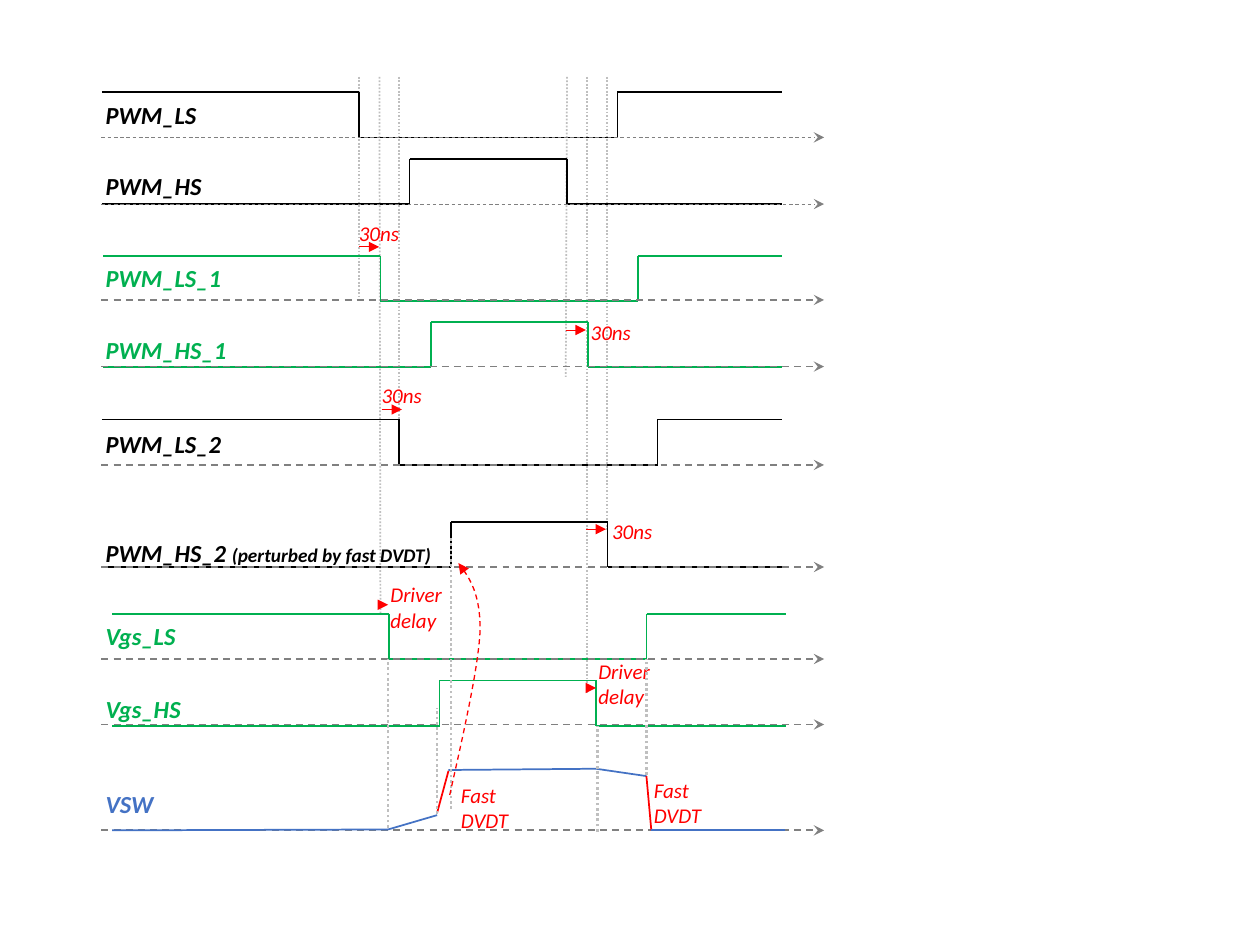
from lxml import etree
from pptx import Presentation
from pptx.dml.color import RGBColor
from pptx.enum.dml import MSO_LINE
from pptx.enum.shapes import MSO_CONNECTOR
from pptx.enum.text import MSO_AUTO_SIZE
from pptx.oxml.ns import qn
from pptx.util import Pt

STRAIGHT = MSO_CONNECTOR.STRAIGHT
DASH, DOT = MSO_LINE.DASH, MSO_LINE.ROUND_DOT
FIT = MSO_AUTO_SIZE.SHAPE_TO_FIT_TEXT
BLACK, GREEN, BLUE, RED = "000000", "00B050", "4472C4", "FF0000"
AXIS, GUIDE = "808080", "BFBFBF"
LEFT, TOP = 58, 44      # corner of the timing diagram
PULSE = 26              # height of a logic pulse
LABEL = dict(size=Pt(14), bold=True, italic=True)
NOTE = dict(size=Pt(12), italic=True)


def rgb(value):
    return RGBColor.from_string(value)


def style_line(sp, color, width, dash=None, head=None):
    sp.line.color.rgb = rgb(color)
    sp.line.width = Pt(width)
    if dash:
        sp.line.dash_style = dash
    if head:
        etree.SubElement(sp.line._get_or_add_ln(), qn("a:tailEnd"), type=head)


def add_line(s, x1, y1, x2, y2, color, width=1, dash=None, head=None):
    c = s.shapes.add_connector(STRAIGHT, Pt(x1), Pt(y1), Pt(x2), Pt(y2))
    style_line(c, color, width, dash, head)
    etree.SubElement(c._element.spPr, qn("a:effectLst"))


def add_trace(s, x, y, points, color):
    for (x1, y1), (x2, y2) in zip(points, points[1:]):
        add_line(s, x + x1, y + y1, x + x2, y + y2, color)


def add_text(s, x, y, w, h, lines, color, style):
    """Each line is a list of (text, format overrides) runs."""
    sp = s.shapes.add_textbox(Pt(x), Pt(y), Pt(w), Pt(h))
    tf = sp.text_frame
    tf.word_wrap = False
    tf.auto_size = FIT
    for i, runs in enumerate(lines):
        p = tf.add_paragraph() if i else tf.paragraphs[0]
        for text, extra in runs:
            r = p.add_run()
            r.text = text
            r.font.name = "Calibri"
            r.font.color.rgb = rgb(color)
            for key, value in {**style, **extra}.items():
                setattr(r.font, key, value)


def add_note(s, x, y, w, *lines):
    add_text(s, x, y, w, 7.2 + 14.4 * len(lines), [[(t, {})] for t in lines], RED, NOTE)


def pulse_row(s, x, y, runs, color, start, rise, fall, end, label_dy, label_w, high_first):
    """One logic signal with its label; y is the high level."""
    outer, inner = (0, PULSE) if high_first else (PULSE, 0)
    points = [(start, outer), (rise, outer), (rise, inner),
              (fall, inner), (fall, outer), (end, outer)]
    add_trace(s, x, y, points, color)
    add_text(s, x - 4.7, y + label_dy, label_w, 24.5, [runs], color, LABEL)


def guides(s, x, y):
    for x1, x2, bottom in [(147.2, 147.2, 128), (158.8, 159.4, 307.4), (170.2, 170.2, 221.7),
                           (266, 265.3, 171.3), (277.5, 277.5, 352.7), (289, 289, 259.1)]:
        add_line(s, x + x1, y, x + x2, y + bottom, GUIDE, 1, DOT)


def switch_guides(s, x, y):
    for gx, bottom, top in [(163.8, 429, 332.6), (191.8, 421.1, 360.6), (283.3, 431.2, 370.7),
                            (311.4, 398.8, 332.6), (199.8, 418.2, 262.7)]:
        add_line(s, x + gx, y + bottom, x + gx, y + top, GUIDE, 1.5, DOT)


def axes(s, x, y):
    for ay, width in [(34.5, 0.5), (72.6, 0.5), (127.4, 1), (165.5, 1), (221.7, 1),
                      (280, 1), (332.6, 1), (370, 1), (430.5, 1)]:
        add_line(s, x, y + ay, x + 412.9, y + ay, AXIS, width, DASH, "stealth")


def delay_note(s, x, y, length, dx, dy, w, *lines):
    add_line(s, x, y, x + length, y, RED, 0.5, head="triangle")
    add_note(s, x + dx, y + dy, w, *lines)


def vsw_row(s, x, y):
    """Switch node voltage; y is its base line."""
    for color, points in [
            (BLUE, [(6.1, 0), (163.8, -0.5), (191.8, -8.7)]),
            (RED, [(191.8, -10.1), (198.3, -34)]),
            (BLUE, [(198.3, -34.5), (282.6, -35.2), (311.4, -31)]),
            (RED, [(311.4, -31), (314.2, 0)]),
            (BLUE, [(314.2, 0), (390.6, 0)])]:
        add_trace(s, x, y, points, color)
    add_text(s, x - 4.7, y - 27.4, 41.8, 24.5, [[("VSW", {})]], BLUE, LABEL)
    for nx, ny in [(308.5, -33.9), (198.3, -31)]:
        add_note(s, x + nx, y + ny, 41.8, "Fast", "DVDT")


def feedback_arrow(s, x, y):
    """Curve from the fast edge up to PWM_HS_2, sampled from two Bezier pieces."""
    curves = [[(0, 132.5), (7.9, 97.2), (15.8, 62.6), (17.3, 40.3)],
              [(17.3, 40.3), (18, 18), (11.5, 8.6), (5, 0)]]
    points = []
    for curve in curves:
        for i in range(13):
            t = i / 12
            weights = [(1 - t) ** 3, 3 * t * (1 - t) ** 2, 3 * t * t * (1 - t), t ** 3]
            points.append(tuple(Pt(o + sum(k * c[axis] for k, c in zip(weights, curve)))
                                for axis, o in enumerate((x, y))))
    builder = s.shapes.build_freeform(*points[0], scale=1.0)
    builder.add_line_segments(points[1:], close=False)
    sp = builder.convert_to_shape()
    sp.shadow.inherit = False
    sp.fill.background()
    style_line(sp, RED, 0.75, DASH, "triangle")


prs = Presentation()
prs.slide_width, prs.slide_height = Pt(720), Pt(540)
s = prs.slides.add_slide(prs.slide_layouts[6])

guides(s, LEFT, TOP)

# Logic signals: top, name, colour, start, edges, end, label offset and width
signals = [
    (8.6, "PWM_LS", BLACK, 0.3, 147.2, 294.8, 389, 0.8, 67),
    (46.7, "PWM_HS", BLACK, 0.3, 176, 266, 389, 3.6, 70),
    (102.2, "PWM_LS_1", GREEN, 1, 159.4, 306.5, 389, 0.7, 81),
    (139.8, "PWM_HS_1", GREEN, 1, 188.4, 278, 389, 4.2, 84),
    (195.7, "PWM_LS_2", BLACK, 0.3, 170.2, 317.8, 389, 2.1, 81),
    (254.2, "PWM_HS_2 ", BLACK, 0.3, 199.8, 289.2, 389, 5.7, 202),
    (306.7, "Vgs_LS", GREEN, 6.1, 164.5, 311.5, 391.2, 0.7, 55),
    (344.8, "Vgs_HS", GREEN, 6.1, 193.2, 282.7, 391.2, 4.3, 58),
]
for top, name, color, *shape in signals:
    runs = [(name, {})]
    if name.startswith("PWM_HS_2"):
        runs.append(("(perturbed by fast DVDT)", dict(size=Pt(11))))
    pulse_row(s, LEFT, TOP + top, runs, color, *shape, high_first="_LS" in name)

# Delays
for x, y, dx, dy in [(147.2, 97.1, -7.2, -18.7), (160.2, 190, -7.2, -18.7),
                     (265.3, 144.6, 7.2, -9.4), (276.8, 258.4, 7.9, -9.4)]:
    delay_note(s, LEFT + x, TOP + y, 11.5, dx, dy, 38.2, "30ns")
for x, y, dy in [(160.2, 301.6, -16.6), (279, 349.1, -20.2)]:
    delay_note(s, LEFT + x, TOP + y, 3.6, -2.2, dy, 44.6, "Driver", "delay")

axes(s, LEFT, TOP)
vsw_row(s, LEFT, TOP + 430.5)
switch_guides(s, LEFT, TOP)
feedback_arrow(s, LEFT + 199, TOP + 277.8)

prs.save("out.pptx")
